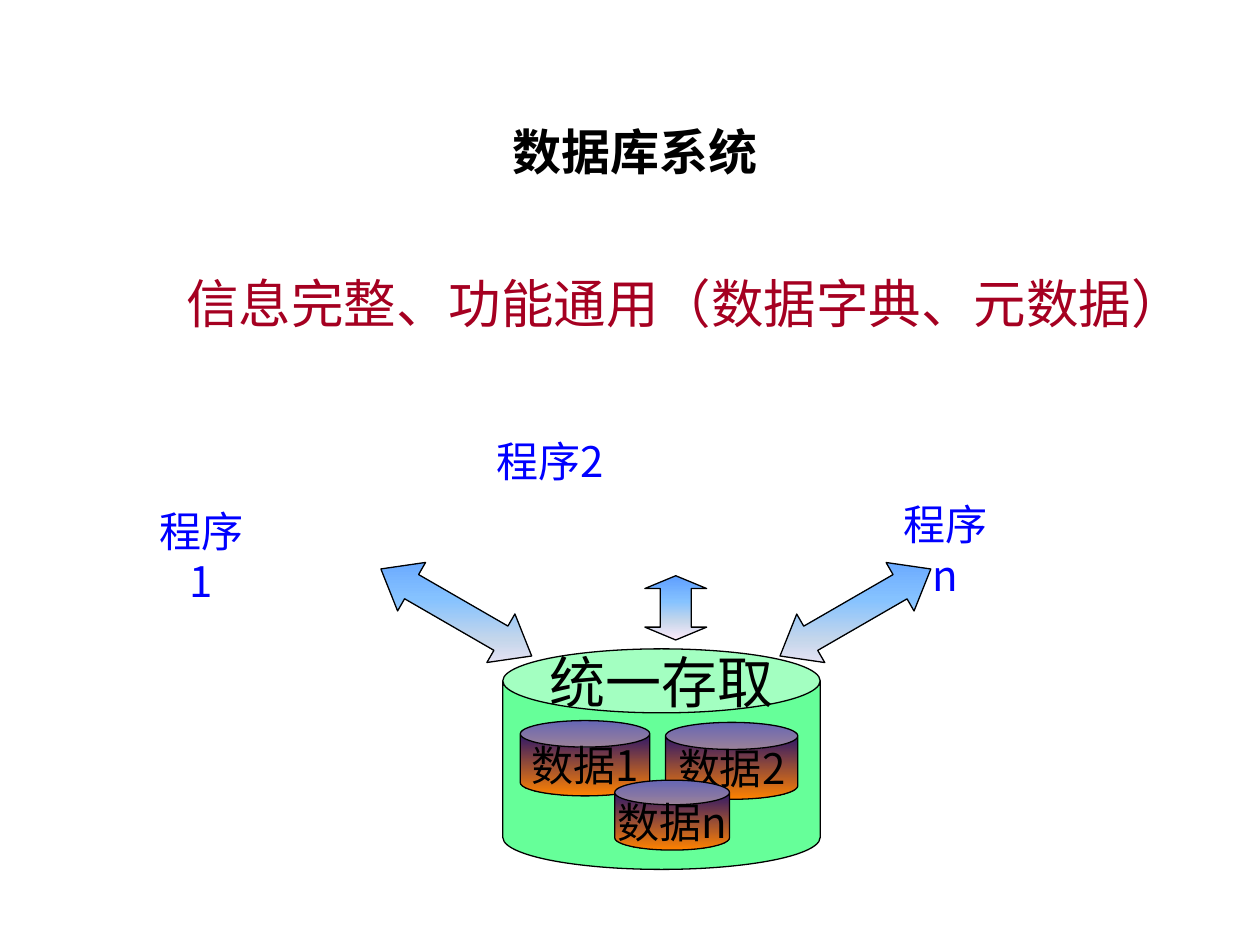
import pptx
import pptx.util
import pptx.dml.color
import pptx.enum.shapes
import pptx.enum.text
import pptx.oxml
import pptx.oxml.ns

Pt = pptx.util.Pt
Kind = pptx.enum.shapes.MSO_SHAPE
Align = pptx.enum.text.PP_ALIGN
Anchor = pptx.enum.text.MSO_ANCHOR
Fit = pptx.enum.text.MSO_AUTO_SIZE

INK = {"black": "000000", "white": "FFFFFF", "blue": "0000FF",
       "red": "A50021", "green": "66FF99"}
FADE = {"data": [(0, "000082"), (100, "FF8200")],
        "arrow": [(0, "5E9EFF"), (40, "85C2FF"), (70, "C4D6EB"), (100, "FFEBFA")]}
SERIF = "Times New Roman"
SANS = "Noto Sans CJK JP"


def color(name):
    return pptx.dml.color.RGBColor.from_string(INK[name])


def write(shape, text, size, font, ink="black", align=Align.CENTER,
          anchor=Anchor.TOP, wrap=True):
    frame = shape.text_frame
    frame.text = text
    frame.auto_size = Fit.NONE
    frame.word_wrap = wrap
    frame.vertical_anchor = anchor
    line = frame.paragraphs[0]
    line.alignment = align
    line.font.size = Pt(size)
    line.font.name = font
    line.font.color.rgb = color(ink)
    return line


def label(slide, box, *args, **style):
    return write(slide.shapes.add_textbox(*map(Pt, box)), *args, **style)


def draw(slide, kind, box, **guides):
    """Add a preset shape, with its adjust guides given by name."""
    shape = slide.shapes.add_shape(kind, *map(Pt, box))
    marks = "".join(f'<a:gd name="{name}" fmla="val {round(value * 100000)}"/>'
                    for name, value in guides.items())
    geom = shape.element.spPr.find(pptx.oxml.ns.qn("a:prstGeom"))
    geom.replace(geom.find(pptx.oxml.ns.qn("a:avLst")), pptx.oxml.parse_xml(
        f'<a:avLst {pptx.oxml.ns.nsdecls("a")}>{marks}</a:avLst>'))
    shape.shadow.inherit = False
    shape.line.color.rgb = color("black")
    shape.line.width = Pt(0.75)
    return shape


def fade(shape, stops):
    """Fill from top to bottom, staying upright when the shape turns."""
    marks = "".join(f'<a:gs pos="{at * 1000}"><a:srgbClr val="{tone}"/></a:gs>'
                    for at, tone in stops)
    grad = pptx.oxml.parse_xml(
        f'<a:gradFill {pptx.oxml.ns.nsdecls("a")} rotWithShape="0">'
        f'<a:gsLst>{marks}</a:gsLst><a:lin ang="5400000" scaled="1"/></a:gradFill>')
    shape.fill.background()
    old = shape.element.spPr.find(pptx.oxml.ns.qn("a:noFill"))
    shape.element.spPr.replace(old, grad)


def title(slide, box):
    head = slide.shapes.title
    head.left, head.top, head.width, head.height = map(Pt, box)
    head.fill.solid()
    head.fill.fore_color.rgb = color("white")
    line = write(head, "数据库系统", 28, SERIF)
    line.font.bold = True
    line.line_spacing = 0.9


def store(slide, box):
    x, y, wide, high = box
    # Outer cylinder
    drum = draw(slide, Kind.CAN, box, adj=0.29)
    drum.fill.solid()
    drum.fill.fore_color.rgb = color("green")
    # Data cylinders
    for name, dx, dy, w, h in [("1", 10, 41, 74, 43), ("2", 93, 42, 75.6, 44),
                               ("n", 64, 75, 65.6, 40)]:
        can = draw(slide, Kind.CAN, (x + dx, y + dy, w, h), adj=0.352)
        fade(can, FADE["data"])
        write(can, "数据" + name, 24, SANS, anchor=Anchor.MIDDLE, wrap=False)
    # Caption on the lid
    label(slide, (x + 13.5, y - 4.5, 155, 45.5), "统一存取", 32, SERIF,
          anchor=Anchor.MIDDLE)


def arrows(slide, box):
    x, y, wide, high = box
    w, h = 99.5, 32
    # Slanted pair
    for left, turn in [(x, 30), (x + wide - w, 330)]:
        side = draw(slide, Kind.LEFT_RIGHT_ARROW, (left, y + 5, w, h),
                    adj1=0.5, adj2=0.634)
        side.rotation = turn
        fade(side, FADE["arrow"])
    # Upright arrow
    mid = draw(slide, Kind.UP_DOWN_ARROW, (x + 157.5, y, 35.3, high),
               adj1=0.5, adj2=0.208)
    fade(mid, FADE["arrow"])


def programs(slide, box):
    x, y, wide, high = box
    for name, dx, dy, w in [("1", 0, 39.6, 72), ("2", 197.3, 0, 76.3),
                            ("n", wide - 76.3, 36, 76.3)]:
        label(slide, (x + dx, y + dy, w, 36), "程序" + name, 24, SANS, "blue")


def main():
    deck = pptx.Presentation()
    deck.slide_width, deck.slide_height = Pt(720), Pt(540)
    slide = deck.slides.add_slide(deck.slide_layouts[5])
    title(slide, (269.3, 69.8, 187.2, 47.5))
    label(slide, (99.4, 151.2, 584.6, 43.2), "信息完整、功能通用（数据字典、元数据）",
          30, SERIF, "red", align=Align.LEFT, wrap=False)
    store(slide, (287.3, 370.8, 181.4, 126))
    arrows(slide, (211, 329, 327.6, 36.7))
    programs(slide, (79.2, 245.5, 499, 75.6))
    deck.save("out.pptx")


if __name__ == "__main__":
    main()
